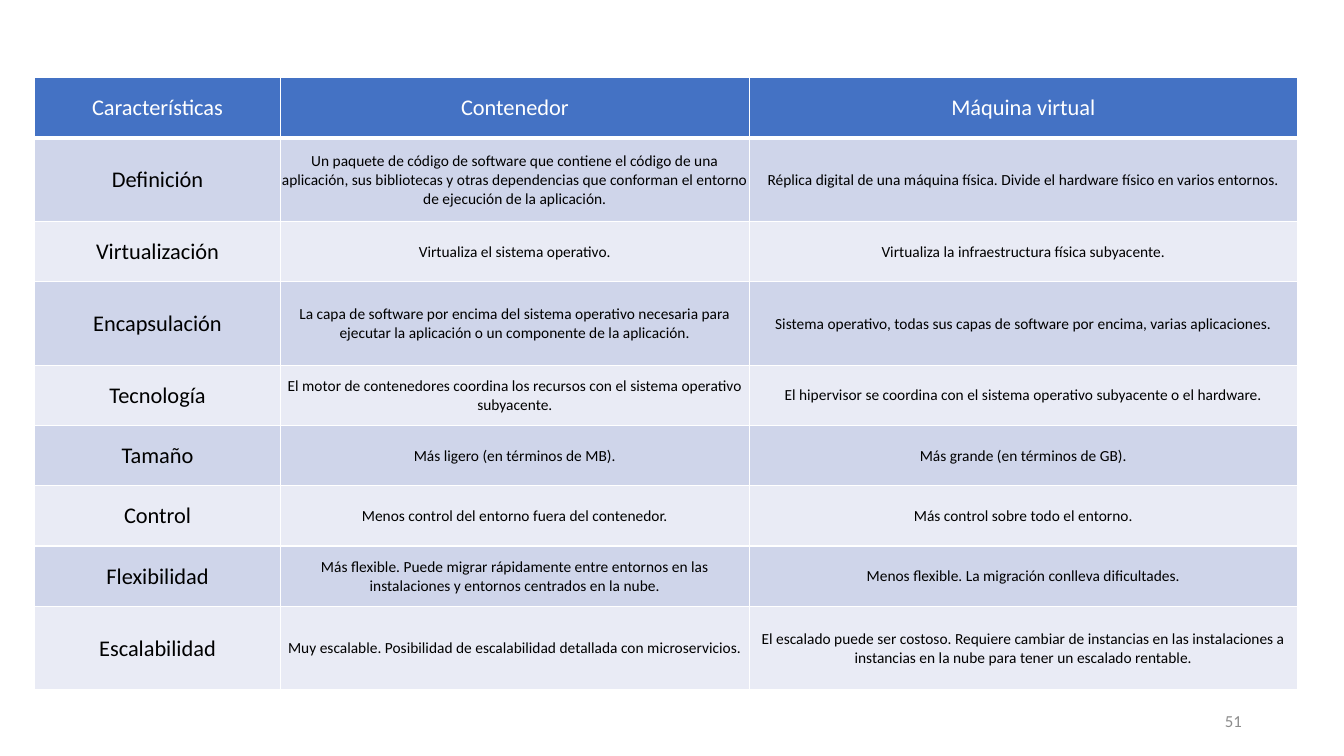
from dataclasses import dataclass

from lxml.etree import SubElement
from pptx import Presentation
from pptx.dml.color import RGBColor
from pptx.enum.text import MSO_ANCHOR, PP_ALIGN
from pptx.oxml.ns import qn
from pptx.slide import Slide
from pptx.table import Table, _Cell
from pptx.text.text import _Paragraph
from pptx.util import Cm, Pt


@dataclass(frozen=True)
class Theme:
    font: str = "Calibri"
    head: str = "4472C4"
    bands: tuple[str, str] = ("CFD5EA", "E9EBF5")
    light: str = "FFFFFF"
    dark: str = "000000"
    grey: str = "8C8C8C"
    large: int = 16
    small: int = 11
    page: int = 12


@dataclass(frozen=True)
class Trait:
    name: str
    box: str
    machine: str
    tall: bool = False


THEME = Theme()
WIDTHS = (6.2, 11.81, 13.82)
LOW, TALL = 1.52, 2.1
HEAD = Trait("Características", "Contenedor", "Máquina virtual")
TRAITS = (
    Trait("Definición",
          "Un paquete de código de software que contiene el código de una aplicación, "
          "sus bibliotecas y otras dependencias que conforman el entorno de ejecución "
          "de la aplicación.",
          "Réplica digital de una máquina física. Divide el hardware físico en varios "
          "entornos.", True),
    Trait("Virtualización", "Virtualiza el sistema operativo.",
          "Virtualiza la infraestructura física subyacente."),
    Trait("Encapsulación",
          "La capa de software por encima del sistema operativo necesaria para ejecutar "
          "la aplicación o un componente de la aplicación.",
          "Sistema operativo, todas sus capas de software por encima, varias "
          "aplicaciones.", True),
    Trait("Tecnología",
          "El motor de contenedores coordina los recursos con el sistema operativo "
          "subyacente.",
          "El hipervisor se coordina con el sistema operativo subyacente o el hardware."),
    Trait("Tamaño", "Más ligero (en términos de MB).", "Más grande (en términos de GB)."),
    Trait("Control", "Menos control del entorno fuera del contenedor.",
          "Más control sobre todo el entorno."),
    Trait("Flexibilidad",
          "Más flexible. Puede migrar rápidamente entre entornos en las instalaciones y "
          "entornos centrados en la nube.",
          "Menos flexible. La migración conlleva dificultades."),
    Trait("Escalabilidad",
          "Muy escalable. Posibilidad de escalabilidad detallada con microservicios.",
          "El escalado puede ser costoso. Requiere cambiar de instancias en las "
          "instalaciones a instancias en la nube para tener un escalado rentable.", True),
)


def style(para: _Paragraph, size: int, color: str, align: PP_ALIGN) -> None:
    para.alignment = align
    for run in para.runs:
        run.font.name = THEME.font
        run.font.size = Pt(size)
        run.font.bold = False
        run.font.color.rgb = RGBColor.from_string(color)


def border(cell: _Cell, base: float) -> None:
    """Draw white cell edges, the bottom one `base` points wide."""
    props = cell._tc.get_or_add_tcPr()
    for side, width in (("L", 1), ("R", 1), ("T", 1), ("B", base)):
        line = SubElement(props, qn(f"a:ln{side}"), w=str(Pt(width)))
        fill = SubElement(line, qn("a:solidFill"))
        SubElement(fill, qn("a:srgbClr"), val=THEME.light)


def fill_row(table: Table, row: int, trait: Trait) -> None:
    head = row == 0
    back = THEME.head if head else THEME.bands[(row - 1) % 2]
    color = THEME.light if head else THEME.dark
    table.rows[row].height = Cm(TALL if trait.tall else LOW)
    for col, text in enumerate((trait.name, trait.box, trait.machine)):
        cell = table.cell(row, col)
        cell.text_frame.text = text
        cell.vertical_anchor = MSO_ANCHOR.MIDDLE
        cell.margin_left = cell.margin_right = cell.margin_top = Cm(0.02)
        cell.margin_bottom = Cm(0)
        border(cell, 3 if head else 1)
        cell.fill.solid()
        cell.fill.fore_color.rgb = RGBColor.from_string(back)
        size = THEME.large if head or col == 0 else THEME.small
        style(cell.text_frame.paragraphs[0], size, color, PP_ALIGN.CENTER)


def add_grid(slide: Slide) -> None:
    rows = (HEAD, *TRAITS)
    high = sum(TALL if trait.tall else LOW for trait in rows)
    frame = slide.shapes.add_table(len(rows), len(WIDTHS), Cm(0.87), Cm(1.96),
                                   Cm(sum(WIDTHS)), Cm(high))
    table = frame.table
    for column, width in zip(table.columns, WIDTHS):
        column.width = Cm(width)
    for row, trait in enumerate(rows):
        fill_row(table, row, trait)


def add_page(slide: Slide, number: str) -> None:
    frame = slide.shapes.add_textbox(Cm(23.93), Cm(17.65), Cm(7.62), Cm(1.02)).text_frame
    frame.word_wrap = True
    frame.vertical_anchor = MSO_ANCHOR.MIDDLE
    frame.text = number
    style(frame.paragraphs[0], THEME.page, THEME.grey, PP_ALIGN.RIGHT)


def main() -> None:
    deck = Presentation()
    deck.slide_width, deck.slide_height = Cm(33.87), Cm(19.05)
    slide = deck.slides.add_slide(deck.slide_layouts[6])
    add_grid(slide)
    add_page(slide, "51")
    deck.save("out.pptx")


if __name__ == "__main__":
    main()
